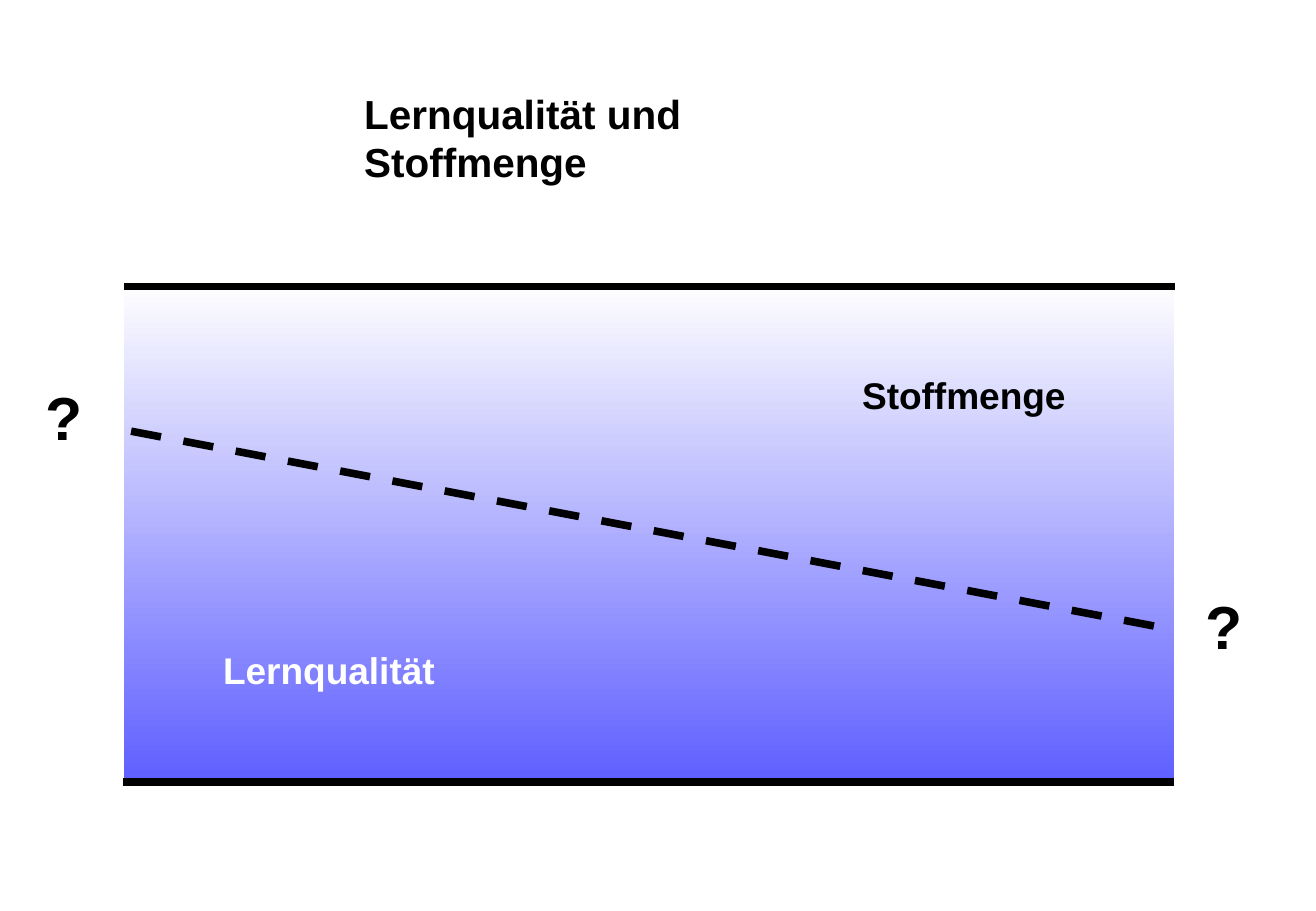
import dataclasses

import pptx
import pptx.dml.color
import pptx.enum.dml
import pptx.enum.shapes
import pptx.enum.text
import pptx.oxml.ns
import pptx.util
from lxml import etree
from pptx.util import Inches


@dataclasses.dataclass(frozen=True)
class Theme:
    font: str = "Arial"
    black: str = "000000"
    white: str = "FFFFFF"
    gradient_top: str = "FEFEFE"
    gradient_bottom: str = "5F5FFF"
    title_size: int = 24
    label_size: int = 22
    question_size: int = 36
    line_width: float = 4.5


theme = Theme()


def rgb(color):
    return pptx.dml.color.RGBColor.from_string(color)


def write_text(shape, text, size, color, alignment):
    """Put one bold, unwrapped line of text into a shape."""
    frame = shape.text_frame
    frame.word_wrap = False
    frame.auto_size = pptx.enum.text.MSO_AUTO_SIZE.NONE
    frame.vertical_anchor = pptx.enum.text.MSO_ANCHOR.TOP
    paragraph = frame.paragraphs[0]
    paragraph.alignment = alignment
    run = paragraph.add_run()
    run.text = text
    run.font.name = theme.font
    run.font.size = pptx.util.Pt(size)
    run.font.bold = True
    run.font.color.rgb = rgb(color)


presentation = pptx.Presentation()
presentation.slide_width = Inches(10.84)
presentation.slide_height = Inches(7.5)
slide = presentation.slides.add_slide(presentation.slide_layouts.get_by_name("Title Only"))

# Title
title = slide.shapes.title
title.left, title.top = Inches(2.9), Inches(0.68)
title.width, title.height = Inches(4.73), Inches(0.5)
write_text(title, "Lernqualität und Stoffmenge", theme.title_size, theme.black,
           pptx.enum.text.PP_ALIGN.LEFT)

# Area fading from top to bottom
area = slide.shapes.add_shape(pptx.enum.shapes.MSO_SHAPE.RECTANGLE,
                              Inches(1.02), Inches(2.34), Inches(8.65), Inches(4.1))
area.shadow.inherit = False
area.line.fill.background()
area.fill.gradient()
area.fill.gradient_angle = 270
for stop, color in zip(area.fill.gradient_stops, (theme.gradient_top, theme.gradient_bottom)):
    stop.color.rgb = rgb(color)
    stop.position = 0 if color == theme.gradient_top else 1

# Dashed dividing line, then the lower and upper borders
dash = pptx.enum.dml.MSO_LINE.DASH
for start_x, start_y, end_x, end_y, style in (
    (1.08, 3.55, 9.59, 5.17, dash),
    (9.67, 6.44, 1.01, 6.44, None),
    (9.68, 2.36, 1.02, 2.36, None),
):
    connector = slide.shapes.add_connector(
        pptx.enum.shapes.MSO_CONNECTOR.STRAIGHT,
        Inches(start_x), Inches(start_y), Inches(end_x), Inches(end_y))
    connector.line.color.rgb = rgb(theme.black)
    connector.line.width = pptx.util.Pt(theme.line_width)
    connector.line.dash_style = style
    etree.SubElement(connector._element.spPr, pptx.oxml.ns.qn("a:effectLst"))

# Labels inside the area and question marks beside it
for text, left, top, width, height, size, color in (
    ("Stoffmenge", 7, 3.02, 1.88, 0.47, theme.label_size, theme.black),
    ("Lernqualität", 1.74, 5.28, 1.94, 0.47, theme.label_size, theme.white),
    ("?", 0.28, 3.08, 0.5, 0.7, theme.question_size, theme.black),
    ("?", 9.83, 4.8, 0.5, 0.7, theme.question_size, theme.black),
):
    label = slide.shapes.add_textbox(Inches(left), Inches(top), Inches(width), Inches(height))
    write_text(label, text, size, color, pptx.enum.text.PP_ALIGN.CENTER)

presentation.save("out.pptx")
